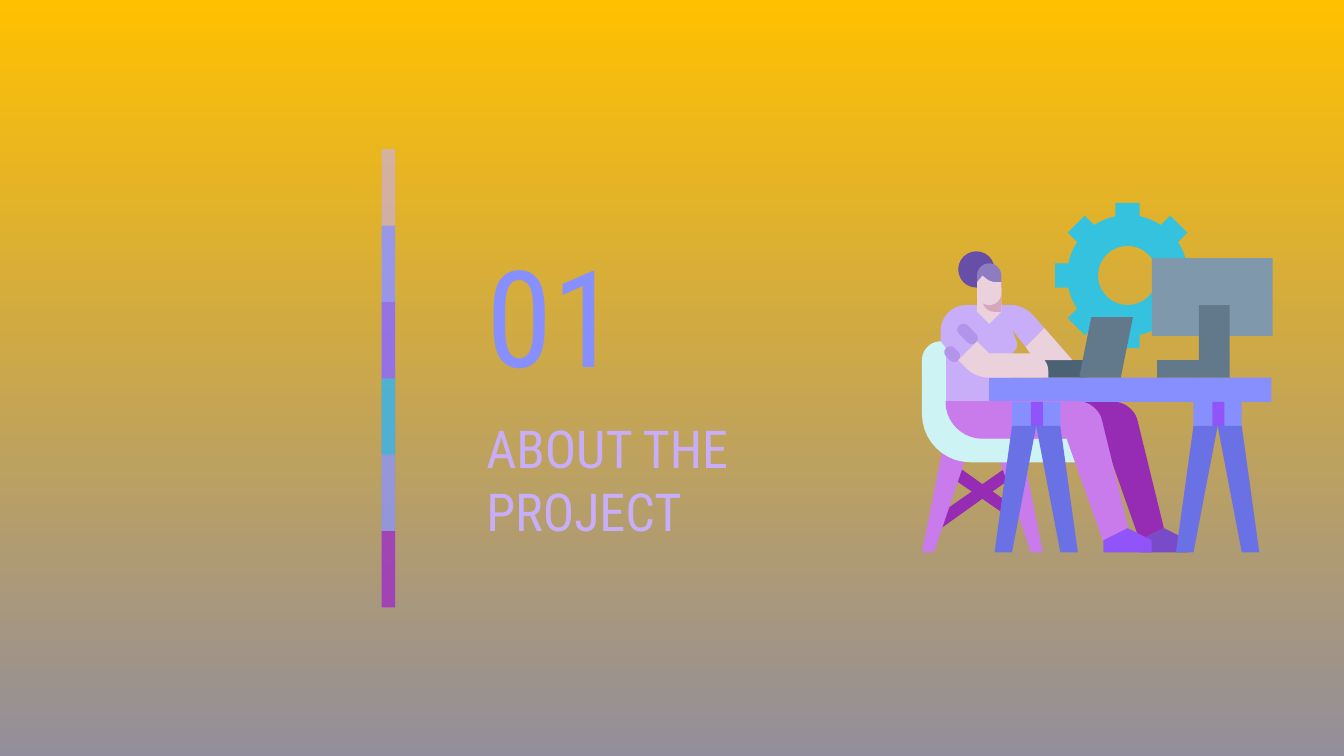
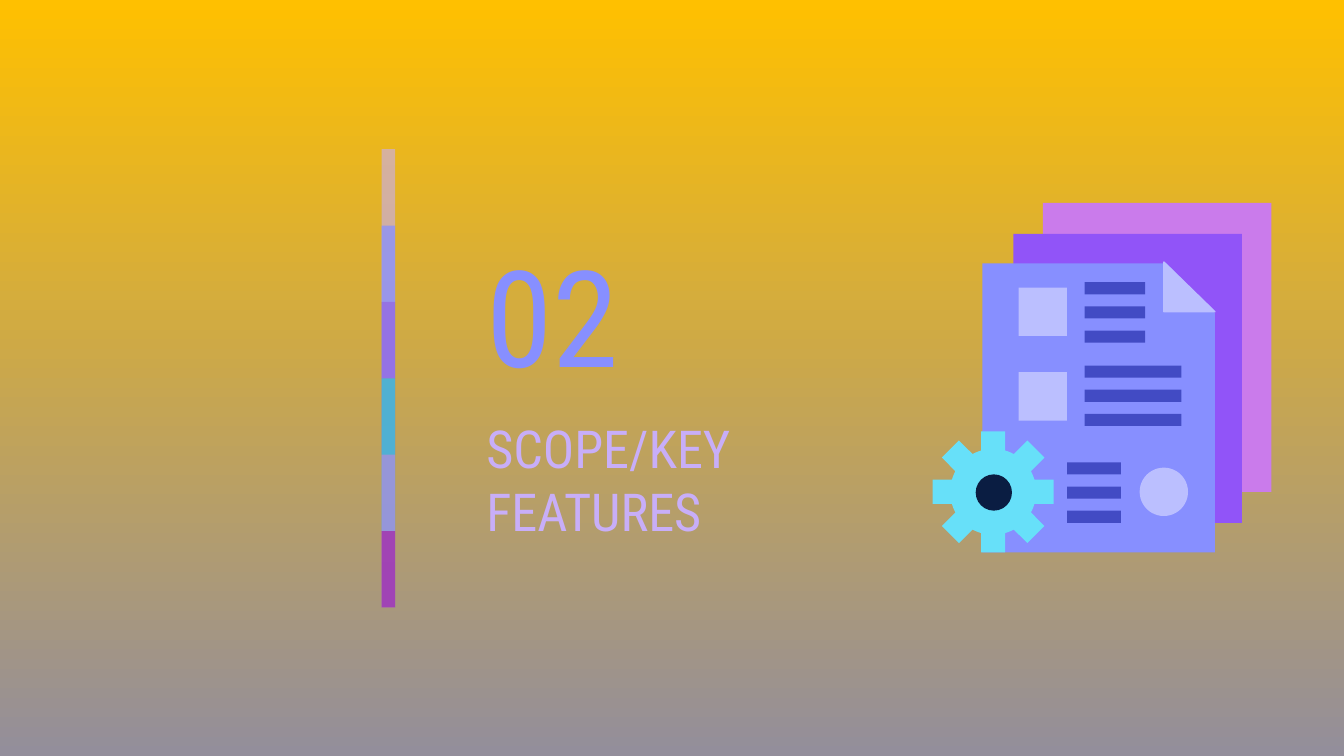
from math import asin, cos, hypot, pi, sin

from lxml import etree
from pptx import Presentation
from pptx.dml.color import RGBColor
from pptx.enum.shapes import MSO_SHAPE
from pptx.enum.text import MSO_ANCHOR
from pptx.oxml.ns import qn
from pptx.util import Pt

PX = 9144  # EMU per px, 100 px to the inch
SLIDE_W = 1000
SLIDE_H = SLIDE_W * 9 / 16
RECT, OVAL, PILL = MSO_SHAPE.RECTANGLE, MSO_SHAPE.OVAL, MSO_SHAPE.ROUNDED_RECTANGLE
TOP, MIDDLE = MSO_ANCHOR.TOP, MSO_ANCHOR.MIDDLE
FONT = "Roboto Condensed"

# Colours
BLUE, LILAC, VIOLET, PLUM, ORCHID = "878FFF", "C8AEF8", "9154F8", "972CB4", "CA7BEB"
TEAL, CYAN, NAVY, INDIGO, PALE = "35C2DF", "67E0F9", "0A1D42", "424BC4", "BBBFFF"
SKIN, LEG, STEEL, SLEEVE = "EAD1DC", "6971E5", "62798C", "B394EB"
BACKGROUND = ("FFC000", "938E9B")

# Shared by both slides: box, size, colour, anchor
NUMBER_STYLE = ((352, 166, 175, 135), 72, BLUE, MIDDLE)
TITLE_STYLE = ((352, 300, 287, 96), 28, LILAC, TOP)
STRIP = (284, 111, 10, 341)
STRIP_COLOURS = [(LILAC, 59), (BLUE, 74), (VIOLET, 53), (TEAL, 76), (ORCHID, 56), (PLUM, 74)]

FLOOR = 411
DESK_BOTTOM = 299


def splayed_legs(colour, centre, top, inner, inner_foot, outer_foot, outer):
    """Mirrored pair of legs that spread towards the floor."""
    return [("path", colour, [(centre + side * inner, top), (centre + side * inner_foot, FLOOR),
                              (centre + side * outer_foot, FLOOR), (centre + side * outer, top)])
            for side in (-1, 1)]


def trestle(centre):
    return [(RECT, BLUE, (centre - 18, DESK_BOTTOM, 36, 18)),
            (RECT, VIOLET, (centre - 4, DESK_BOTTOM, 9, 18)),
            *splayed_legs(LEG, centre, 317, 0, 18, 31, 18)]


def trouser_and_shoe(kind, shift, trouser, shoe):
    left, right, ankle = 821 + shift, 857 + shift, 839 + shift
    return [(kind, trouser, [(704 + shift, DESK_BOTTOM), (704 + shift, 326, 27), (794 + shift, 326),
                             (left, 402), (ankle, 393), (816 + shift, DESK_BOTTOM, 14)]),
            ("path", shoe, [(ankle, 393), (left, 402), (left, FLOOR),
                            (right, FLOOR), (right, 402)])]


# Paths: corners, with a third number where the corner is rounded.
# Gears: centre x, centre y, tooth radius, body radius, hole radius.
DESK_SCENE = [
    ("gear", TEAL, (839, 205, 54, 45, 22)),
    (RECT, "4B6275", (776, 268, 31, 13)),
    # Chair
    ("path", PLUM, [(711, 346), (706, 354), (748, 383), (753, 376)]),
    ("path", PLUM, [(750, 347), (755, 354), (699, 394), (694, 386)]),
    *splayed_legs(ORCHID, 731, 331, 9, 36, 45, 29),
    ("path", "CEF3F5", [(686, 254, 14), (686, 344, 36), (807, 344), (807, 322),
                        (709, 322, 22), (709, 254)]),
    *trouser_and_shoe("path", 27, PLUM, "794BC8"),
    # Far arm, shirt, desk top and sleeve
    ("path", SKIN, [(763, 258), (770, 268), (798, 268), (777, 244)]),
    ("path", LILAC, [(700, 227, 19), (700, 254), (704, 259), (704, 299), (753, 299), (753, 263),
                     (758, 258, 4), (753, 245), (763, 258), (777, 244), (762, 227, 9)]),
    (RECT, BLUE, (736, 281, 210, 18)),
    (PILL, SLEEVE, (702, 259, 13, 9)),
    (PILL, SLEEVE, (711, 244, 18, 9)),
    # Neck and near arm
    ("path", SKIN, [(727, 214), (727, 232), (736, 241), (745, 232), (745, 214)]),
    ("path", SKIN, [(727, 254), (713, 268), (726, 281, 9), (780, 281), (780, 263, 13), (736, 263)]),
    # Laptop
    ("path", STEEL, [(812, 236), (803, 281), (834, 281), (843, 236)]),
    *trouser_and_shoe("edged", 0, ORCHID, VIOLET),
    # Monitor and stand
    (RECT, "8098AB", (857, 192, 90, 58)),
    (RECT, STEEL, (892, 227, 23, 54)),
    (RECT, STEEL, (861, 268, 31, 13)),
    *trestle(906),
    *trestle(771),
    # Head
    ("path", "D5A6BD", [(731, 214), (731, 232, 9), (745, 232), (745, 214)]),
    (OVAL, "674EA7", (713, 187, 27, 27)),
    ("path", "8E7CC3", [(727, 196, 9), (727, 214), (745, 214), (745, 196, 9)]),
    ("path", SKIN, [(731, 205), (727, 210), (727, 227, 9), (745, 227, 9),
                    (745, 210), (737, 210, 4)]),
]

# Text lines on the front page: left, first top, width
LINE_BLOCKS = [(807, 210, 45), (807, 272, 72), (794, 344, 40)]

DOCUMENT_SCENE = [
    # Stacked pages
    (RECT, ORCHID, (776, 151, 170, 215)),
    (RECT, VIOLET, (754, 174, 170, 215)),
    ("path", BLUE, [(731, 196), (731, 411), (904, 411), (904, 233), (868, 196)]),
    ("gear", CYAN, (739, 366, 45, 32, 0)),
    (OVAL, NAVY, (726, 353, 27, 27)),
    # Page content
    (RECT, PALE, (758, 214, 36, 36)),
    (RECT, PALE, (758, 277, 36, 36)),
    (OVAL, PALE, (848, 348, 36, 36)),
    *[(RECT, INDIGO, (left, top + row * 18, width, 9))
      for left, top, width in LINE_BLOCKS for row in range(3)],
    # Folded corner
    ("edged", PALE, [(866, 195), (866, 232), (904, 232)]),
]

SECTIONS = [
    ("01", "ABOUT THE PROJECT", DESK_SCENE),
    ("02", "SCOPE/KEY FEATURES", DOCUMENT_SCENE),
]


def rgb(colour):
    return RGBColor.from_string(colour)


def emu(*lengths):
    return [round(length * PX) for length in lengths]


def paint(shape, colour, edged=False, opacity=None):
    shape.shadow.inherit = False
    shape.fill.solid()
    shape.fill.fore_color.rgb = rgb(colour)
    if opacity is not None:
        tint = shape.fill._xPr.find(".//" + qn("a:srgbClr"))
        etree.SubElement(tint, qn("a:alpha")).set("val", str(opacity * 1000))
    if edged:
        shape.line.color.rgb = rgb(colour)
        shape.line.width = Pt(0.75)
    else:
        shape.line.fill.background()


def toward(start, end, distance):
    share = distance / hypot(end[0] - start[0], end[1] - start[1])
    return tuple(a + (b - a) * share for a, b in zip(start, end))


def round_corners(corners, steps=10):
    """Replace each rounded corner by points on a curve."""
    points = []
    for index, (x, y, *radius) in enumerate(corners):
        corner = (x, y)
        if not radius:
            points.append(corner)
            continue
        before, after = corners[index - 1][:2], corners[(index + 1) % len(corners)][:2]
        start, end = (toward(corner, other, radius[0]) for other in (before, after))
        leave, arrive = (toward(corner, other, radius[0] * 0.45) for other in (before, after))
        for step in range(steps + 1):
            t = step / steps
            weights = ((1 - t) ** 3, 3 * t * (1 - t) ** 2, 3 * t * t * (1 - t), t ** 3)
            points.append(tuple(sum(w * p[axis] for w, p in
                                    zip(weights, (start, leave, arrive, end)))
                                for axis in (0, 1)))
    return points


def gear_contours(cx, cy, outer, body, hole, teeth=8, half_tooth=9):
    def polar(radius, angle):
        return cx + radius * cos(angle), cy + radius * sin(angle)

    pitch = 2 * pi / teeth
    tip_radius = hypot(outer, half_tooth)
    root, tip = asin(half_tooth / body), asin(half_tooth / tip_radius)
    rim = []
    for tooth in range(teeth):
        angle = tooth * pitch
        rim += [polar(tip_radius, angle + side * tip) for side in (-1, 1)]
        rim += [polar(body, angle + root + (pitch - 2 * root) * step / 4) for step in range(5)]
    if not hole:
        return [rim]
    return [rim, [polar(hole, -2 * pi * step / 48) for step in range(48)]]


def draw_contours(shapes, contours):
    first, *others = [[emu(*point) for point in contour] for contour in contours]
    builder = shapes.build_freeform(*first[0], scale=1.0)
    builder.add_line_segments(first[1:], close=True)
    for contour in others:
        builder.move_to(*contour[0])
        builder.add_line_segments(contour[1:], close=True)
    return builder.convert_to_shape()


def draw_scene(slide, scene):
    shapes = slide.shapes.add_group_shape().shapes
    for kind, colour, geometry in scene:
        if kind in (RECT, OVAL, PILL):
            part = shapes.add_shape(kind, *emu(*geometry))
        elif kind == "gear":
            part = draw_contours(shapes, gear_contours(*geometry))
        else:
            part = draw_contours(shapes, [round_corners(geometry)])
        if kind == PILL:
            part.adjustments[0] = 0.5
            part.rotation = 45
        paint(part, colour, edged=kind == "edged")


def draw_strip(slide):
    """Translucent bars, each reaching under the next one."""
    shapes = slide.shapes.add_group_shape().shapes
    left, top, width, height = STRIP
    step = height / len(STRIP_COLOURS)
    for index, (colour, opacity) in enumerate(STRIP_COLOURS):
        bar_top = top + index * step
        bar_height = min(2 * step, top + height - bar_top)
        bar = shapes.add_shape(RECT, *emu(left, bar_top, width, bar_height))
        paint(bar, colour, opacity=opacity)


def write(slide, words, style):
    box, size, colour, anchor = style
    frame = slide.shapes.add_textbox(*emu(*box)).text_frame
    frame.word_wrap = True
    frame.vertical_anchor = anchor
    frame.margin_left = frame.margin_right = frame.margin_top = frame.margin_bottom = emu(10)[0]
    frame.text = words
    font = frame.paragraphs[0].runs[0].font
    font.name, font.size, font.color.rgb = FONT, Pt(size), rgb(colour)


def set_background(slide):
    fill = slide.background.fill
    fill.gradient()
    fill.gradient_angle = 270
    for stop, position, colour in zip(fill.gradient_stops, (0, 1), BACKGROUND):
        stop.position = position
        stop.color.rgb = rgb(colour)


def main():
    deck = Presentation()
    deck.slide_width, deck.slide_height = emu(SLIDE_W, SLIDE_H)
    for number, title, scene in SECTIONS:
        slide = deck.slides.add_slide(deck.slide_layouts[6])
        set_background(slide)
        write(slide, number, NUMBER_STYLE)
        write(slide, title, TITLE_STYLE)
        draw_scene(slide, scene)
        draw_strip(slide)
    deck.save("out.pptx")


if __name__ == "__main__":
    main()
